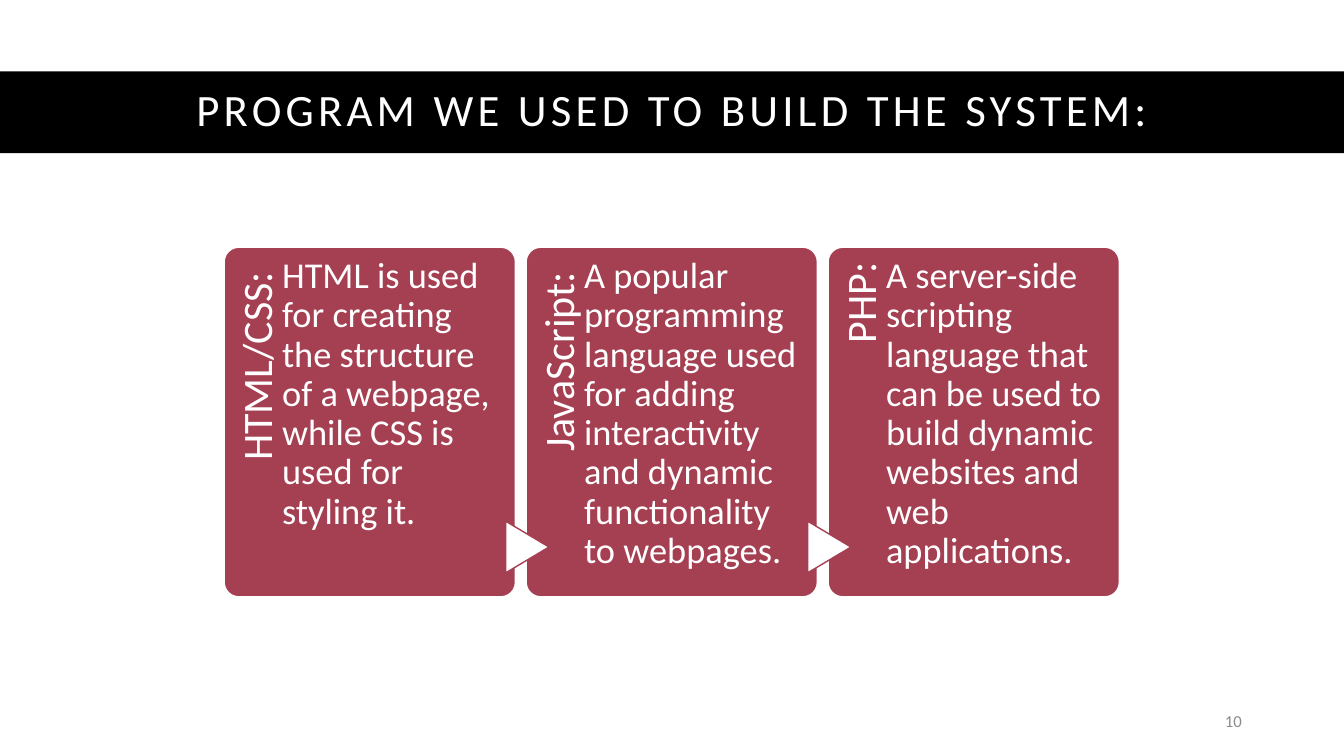
from pptx import Presentation
from pptx.dml.color import RGBColor
from pptx.enum.shapes import MSO_SHAPE
from pptx.enum.text import MSO_ANCHOR, PP_ALIGN
from pptx.util import Cm, Pt

BLACK = RGBColor(0x00, 0x00, 0x00)
WHITE = RGBColor(0xFF, 0xFF, 0xFF)
GREY = RGBColor(0x8C, 0x8C, 0x8C)
ROSE = RGBColor(0xA5, 0x3F, 0x52)

RECT = MSO_SHAPE.RECTANGLE
ROUND = MSO_SHAPE.ROUNDED_RECTANGLE
EXTRACT = MSO_SHAPE.FLOWCHART_EXTRACT
TOP, MIDDLE = MSO_ANCHOR.TOP, MSO_ANCHOR.MIDDLE
LEFT, CENTER, RIGHT = PP_ALIGN.LEFT, PP_ALIGN.CENTER, PP_ALIGN.RIGHT

WIDTH, HEIGHT = 33.87, 19.05
FONT = "Calibri"

# Text styles: frame, paragraph and font values, in that order
TITLE = (
    {"vertical_anchor": MIDDLE},
    {"alignment": CENTER, "line_spacing": 0.9},
    {"size": Pt(32)},
)
NUMBER = (
    {"vertical_anchor": MIDDLE},
    {"alignment": RIGHT},
    {"size": Pt(12)},
)
LABEL = (
    {"vertical_anchor": TOP, "margin_left": 0, "margin_top": Cm(0.28),
     "margin_right": Cm(0.38), "margin_bottom": 0},
    {"alignment": RIGHT, "line_spacing": 0.9},
    {"size": Pt(30)},
)
BODY = (
    {"vertical_anchor": TOP, "margin_left": 0, "margin_top": Cm(0.25),
     "margin_right": 0, "margin_bottom": 0},
    {"alignment": LEFT, "line_spacing": 0.9},
    {"size": Pt(26)},
)

CARDS = [
    ("HTML/CSS: ", "HTML is used for creating the structure of a webpage, "
     "while CSS is used for styling it."),
    ("JavaScript: ", "A popular programming language used for adding "
     "interactivity and dynamic functionality to webpages."),
    ("PHP:", "A server-side scripting language that can be used to build "
     "dynamic websites and web applications."),
]


def apply(target, values):
    for name, value in values.items():
        setattr(target, name, value)


def add_text(slide, text, box, style, color=WHITE):
    shape = slide.shapes.add_textbox(*map(Cm, box))
    frame = shape.text_frame
    para = frame.paragraphs[0]
    run = para.add_run()
    run.text = text
    frame.word_wrap = True
    for target, values in zip((frame, para, run.font), style):
        apply(target, values)
    run.font.name = FONT
    run.font.color.rgb = color
    return shape, run


def add_form(slide, kind, box, fill, line=None):
    shape = slide.shapes.add_shape(kind, *map(Cm, box))
    shape.shadow.inherit = False
    shape.fill.solid()
    shape.fill.fore_color.rgb = fill
    if line is None:
        shape.line.fill.background()
    else:
        shape.line.color.rgb = line
        shape.line.width = Pt(1)
    return shape


def add_banner(slide, box, text):
    left, top, width, height = box
    add_form(slide, RECT, box, BLACK)
    inner = (left + 1.55, top - 0.02, width - 2.73, height)
    run = add_text(slide, text, inner, TITLE)[1]
    run.font._element.set("spc", "300")


def add_card(slide, box, label, body, arrow):
    left, top, width, height = box
    card = add_form(slide, ROUND, box, ROSE, WHITE)
    card.adjustments[0] = 0.05

    # Label reading upwards along the left edge
    side = (left - 2.87, top + 2.89, 7.24, 1.47)
    add_text(slide, label, side, LABEL)[0].rotation = 270

    # Arrow from the card before
    if arrow:
        spot = (left - 0.62, top + 7.01, 1.3, 1.09)
        add_form(slide, EXTRACT, spot, WHITE, ROSE).rotation = 90

    add_text(slide, body, (left + 1.46, top, width - 1.85, height), BODY)


def add_flow(slide, box, cards):
    left, top, width, height = box
    gap = 0.27
    size = (width - gap * (len(cards) - 1)) / len(cards)
    for i, (label, body) in enumerate(cards):
        place = (left + i * (size + gap), top, size, height)
        add_card(slide, place, label, body, arrow=i > 0)


def main():
    deck = Presentation()
    deck.slide_width, deck.slide_height = Cm(WIDTH), Cm(HEIGHT)
    slide = deck.slides.add_slide(deck.slide_layouts[6])

    add_banner(slide, (0, 1.8, WIDTH, 2.06),
               "PROGRAM WE USED TO BUILD THE SYSTEM: ")
    add_text(slide, "10", (23.93, 17.65, 7.62, 1.02), NUMBER, GREY)
    add_flow(slide, (5.65, 6.23, 22.56, 8.81), CARDS)

    deck.save("out.pptx")


if __name__ == "__main__":
    main()
